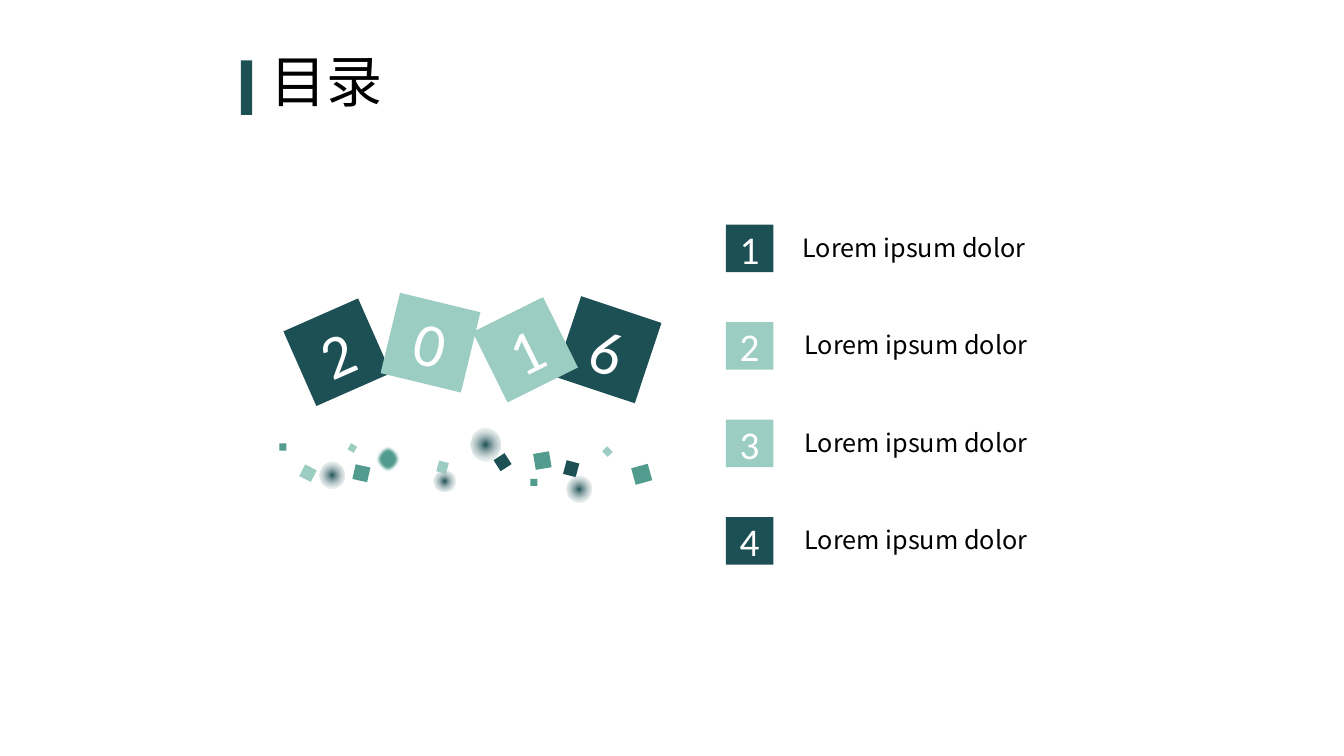
from lxml import etree
from pptx import Presentation
from pptx.dml.color import RGBColor
from pptx.enum.shapes import MSO_SHAPE
from pptx.enum.text import MSO_ANCHOR, MSO_AUTO_SIZE, PP_ALIGN
from pptx.oxml import parse_xml
from pptx.oxml.ns import nsdecls, qn
from pptx.util import Inches, Pt

DARK, MEDIUM, LIGHT = "1D5055", "519C8F", "9CCDC2"
TEXT_FONT, DIGIT_FONT = "Noto Sans CJK SC", "Calibri"


def add_block(kind, left, top, width, height, color, rotation=0):
    shape = slide.shapes.add_shape(
        kind, Inches(left), Inches(top), Inches(width), Inches(height))
    shape.rotation = rotation
    shape.shadow.inherit = False
    shape.fill.solid()
    shape.fill.fore_color.rgb = RGBColor.from_string(color)
    shape.line.fill.background()
    return shape


def write_text(shape, text, size, font, color, alignment=PP_ALIGN.LEFT):
    frame = shape.text_frame
    frame.text = text
    frame.word_wrap = True
    frame.auto_size = MSO_AUTO_SIZE.NONE
    frame.vertical_anchor = MSO_ANCHOR.MIDDLE
    paragraph = frame.paragraphs[0]
    paragraph.alignment = alignment
    paragraph.space_before = Pt(0)
    run = paragraph.runs[0]
    run.font.size = Pt(size)
    run.font.bold = False
    run.font.name = font
    run.font.color.rgb = RGBColor.from_string(color)
    east_asian = etree.SubElement(run.font._element, qn("a:ea"))
    east_asian.set("typeface", font)
    return paragraph


presentation = Presentation()
presentation.slide_width = Inches(13.33)
presentation.slide_height = Inches(7.5)
# The comparison layout has a title and four text placeholders
slide = presentation.slides.add_slide(presentation.slide_layouts[4])

# Title with its accent bar
title = slide.shapes.title
title.left, title.top = Inches(2.58), Inches(0.4)
title.width, title.height = Inches(8.64), Inches(0.87)
write_text(title, "目录", 40, TEXT_FONT, "000000").line_spacing = 0.9
add_block(MSO_SHAPE.RECTANGLE, 2.39, 0.6, 0.11, 0.54, DARK)

# Numbered agenda
agenda = [(DARK, 7.86), (LIGHT, 7.88), (LIGHT, 7.88), (DARK, 7.88)]
for index, (color, label_left) in enumerate(agenda):
    top = 2.23 + index * 0.967
    number = add_block(MSO_SHAPE.RECTANGLE, 7.2, top, 0.47, 0.47, color)
    number.text_frame.margin_left = number.text_frame.margin_right = 0
    write_text(number, str(index + 1), 28, DIGIT_FONT, "FFFFFF", PP_ALIGN.CENTER)

    label = slide.placeholders[index + 1]
    label.left, label.top = Inches(label_left), Inches(top)
    label.width, label.height = Inches(3.34), Inches(0.44)
    paragraph = write_text(label, "Lorem ipsum dolor", 18, TEXT_FONT, "000000")
    properties = paragraph._p.get_or_add_pPr()
    properties.set("marL", "0")
    properties.set("indent", "0")
    etree.SubElement(properties, qn("a:buNone"))

# Confetti squares: left, top, width, height, rotation, color
confetti = [
    (5.3, 4.49, 0.16, 0.16, 350.4, MEDIUM),
    (5.6, 4.58, 0.13, 0.14, 15, DARK),
    (2.99, 4.63, 0.13, 0.13, 27.2, LIGHT),
    (4.92, 4.52, 0.13, 0.13, 327.2, DARK),
    (2.77, 4.4, 0.07, 0.07, 0, MEDIUM),
    (6.28, 4.62, 0.17, 0.17, 344.6, MEDIUM),
    (5.26, 4.75, 0.07, 0.07, 0, MEDIUM),
    (3.51, 4.62, 0.15, 0.15, 12.7, MEDIUM),
    (5.99, 4.44, 0.07, 0.08, 315, LIGHT),
    (4.34, 4.58, 0.1, 0.11, 15, LIGHT),
    (3.46, 4.41, 0.07, 0.07, 30, LIGHT),
]
for left, top, width, height, rotation, color in confetti:
    add_block(MSO_SHAPE.RECTANGLE, left, top, width, height, color, rotation)

# Tilted year tiles: digit, left, top, side, rotation, color
year_tiles = [
    ("2", 2.94, 3.09, 0.81, 336.2, DARK),
    ("6", 5.61, 3.05, 0.84, 18.4, DARK),
    ("0", 3.86, 2.99, 0.82, 13.6, LIGHT),
    ("1", 4.82, 3.08, 0.78, 333.6, LIGHT),
]
for digit, left, top, side, rotation, color in year_tiles:
    tile = add_block(MSO_SHAPE.RECTANGLE, left, top, side, side, color, rotation)
    write_text(tile, digit, 44, DIGIT_FONT, "FFFFFF", PP_ALIGN.CENTER)

# Glowing dots that fade out from the centre
glows = [
    (4.3, 4.67, 0.22, 0.21),
    (3.17, 4.58, 0.25, 0.27),
    (4.67, 4.24, 0.29, 0.34),
    (5.62, 4.72, 0.25, 0.27),
]
for left, top, width, height in glows:
    glow = add_block(MSO_SHAPE.OVAL, left, top, width, height, DARK)
    solid_fill = glow._element.spPr.find(qn("a:solidFill"))
    gradient = parse_xml(
        f'<a:gradFill {nsdecls("a")} rotWithShape="1"><a:gsLst>'
        f'<a:gs pos="0"><a:srgbClr val="{DARK}"/></a:gs>'
        '<a:gs pos="100000"><a:srgbClr val="FFFFFF"><a:alpha val="0"/></a:srgbClr></a:gs>'
        '</a:gsLst><a:path path="circle">'
        '<a:fillToRect l="50000" t="50000" r="50000" b="50000"/></a:path></a:gradFill>')
    glow._element.spPr.replace(solid_fill, gradient)

# Soft-edged dot
soft_dot = add_block(MSO_SHAPE.OVAL, 3.72, 4.42, 0.25, 0.27, MEDIUM)
effects = soft_dot._element.spPr.find(qn("a:effectLst"))
etree.SubElement(effects, qn("a:softEdge")).set("rad", str(Inches(0.03)))

presentation.save("out.pptx")
